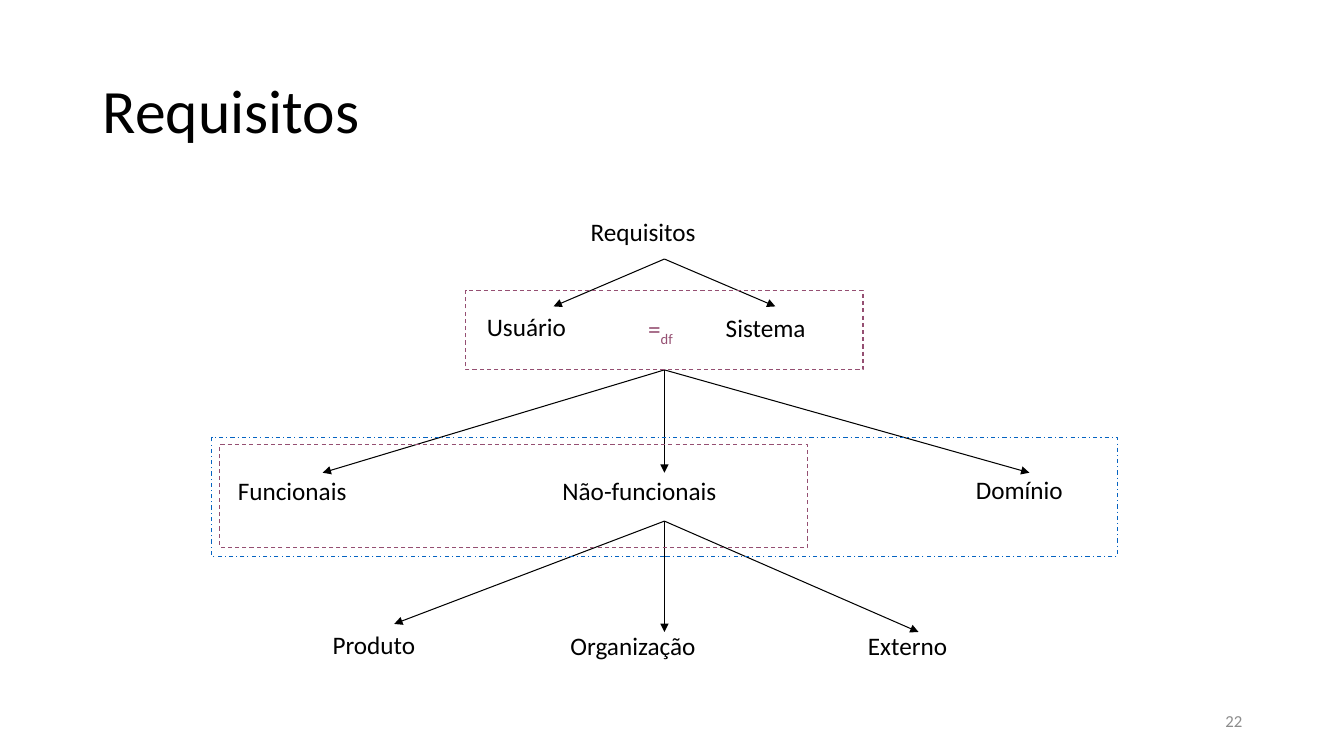
from lxml import etree
from pptx import Presentation
from pptx import util as u
from pptx.dml.color import RGBColor
from pptx.enum import dml, shapes, text
from pptx.oxml import ns

PX = 9144  # EMU per px, 100 px to the inch
BLACK, PLUM, BLUE, GREY = "000000", "954F72", "0563C1", "8C8C8C"


def px(*lengths):
    return [u.Emu(length * PX) for length in lengths]


def rgb(color):
    return RGBColor.from_string(color)


def style_line(line, color):
    line.color.rgb = rgb(color)
    line.width = u.Pt(0.75)


def add_text(slide, box, words, size=18, color=BLACK):
    """Add a one-paragraph text box and return its frame."""
    frame = slide.shapes.add_textbox(*px(*box)).text_frame
    frame.word_wrap = True
    paragraph = frame.paragraphs[0]
    paragraph.add_run().text = words
    paragraph.font.name = "Calibri"
    paragraph.font.size = u.Pt(size)
    paragraph.font.color.rgb = rgb(color)
    return frame


def add_label(slide, left, top, width, words, color=BLACK):
    frame = add_text(slide, (left, top, width, 40), words, color=color)
    frame.word_wrap = False
    frame.auto_size = text.MSO_AUTO_SIZE.SHAPE_TO_FIT_TEXT
    return frame


def add_branches(slide, start, tips):
    """Draw one arrow from the start to each tip."""
    for tip in tips:
        arrow = slide.shapes.add_connector(
            shapes.MSO_CONNECTOR.STRAIGHT, *px(*start, *tip))
        style_line(arrow.line, BLACK)
        etree.SubElement(arrow.line._get_or_add_ln(),
                         ns.qn("a:tailEnd"), type="triangle")
        etree.SubElement(arrow._element.spPr, ns.qn("a:effectLst"))


def add_group_frame(slide, box, color, dash):
    frame = slide.shapes.add_shape(shapes.MSO_SHAPE.RECTANGLE, *px(*box))
    frame.shadow.inherit = False
    frame.fill.background()
    style_line(frame.line, color)
    frame.line.dash_style = dash


def main():
    prs = Presentation()
    prs.slide_width, prs.slide_height = px(1333, 750)
    slide = prs.slides.add_slide(prs.slide_layouts[6])

    # Title and page number
    title = add_text(slide, (92, 40, 1150, 145), "Requisitos", size=44)
    title.vertical_anchor = text.MSO_ANCHOR.MIDDLE
    title.paragraphs[0].line_spacing = 0.9
    page = add_text(slide, (942, 695, 300, 40), "22", size=12, color=GREY)
    page.vertical_anchor = text.MSO_ANCHOR.MIDDLE
    page.paragraphs[0].alignment = text.PP_ALIGN.RIGHT

    # Tree labels, level by level
    for label in [
        (576, 210, 125, "Requisitos"),
        (473, 304, 99, "Usuário"),
        (710, 305, 100, "Sistema"),
        (226, 467, 129, "Funcionais"),
        (548, 467, 175, "Não-funcionais"),
        (958, 466, 107, "Domínio"),
        (320, 619, 103, "Produto"),
        (556, 620, 145, "Organização"),
        (851, 620, 100, "Externo"),
    ]:
        add_label(slide, *label)

    # Arrows between the levels
    axis = 659
    add_branches(slide, (axis, 257), [(549, 304), (769, 304)])
    add_branches(slide, (axis, 367), [(320, 469), (axis, 469), (1021, 469)])
    add_branches(slide, (axis, 517), [(391, 619), (axis, 627), (911, 627)])

    # Dashed frames around related requirements
    dashes = dml.MSO_LINE
    add_group_frame(slide, (218, 441, 583, 102), PLUM, dashes.DASH)
    add_group_frame(slide, (210, 434, 898, 118), BLUE, dashes.DASH_DOT)
    add_group_frame(slide, (462, 288, 394, 79), PLUM, dashes.DASH)

    # Equality by definition
    equality = add_label(slide, 633, 306, 47, "=", PLUM)
    subscript = equality.paragraphs[0].add_run()
    subscript.text = "df"
    subscript._r.get_or_add_rPr().set("baseline", "-25000")

    prs.save("out.pptx")


if __name__ == "__main__":
    main()
